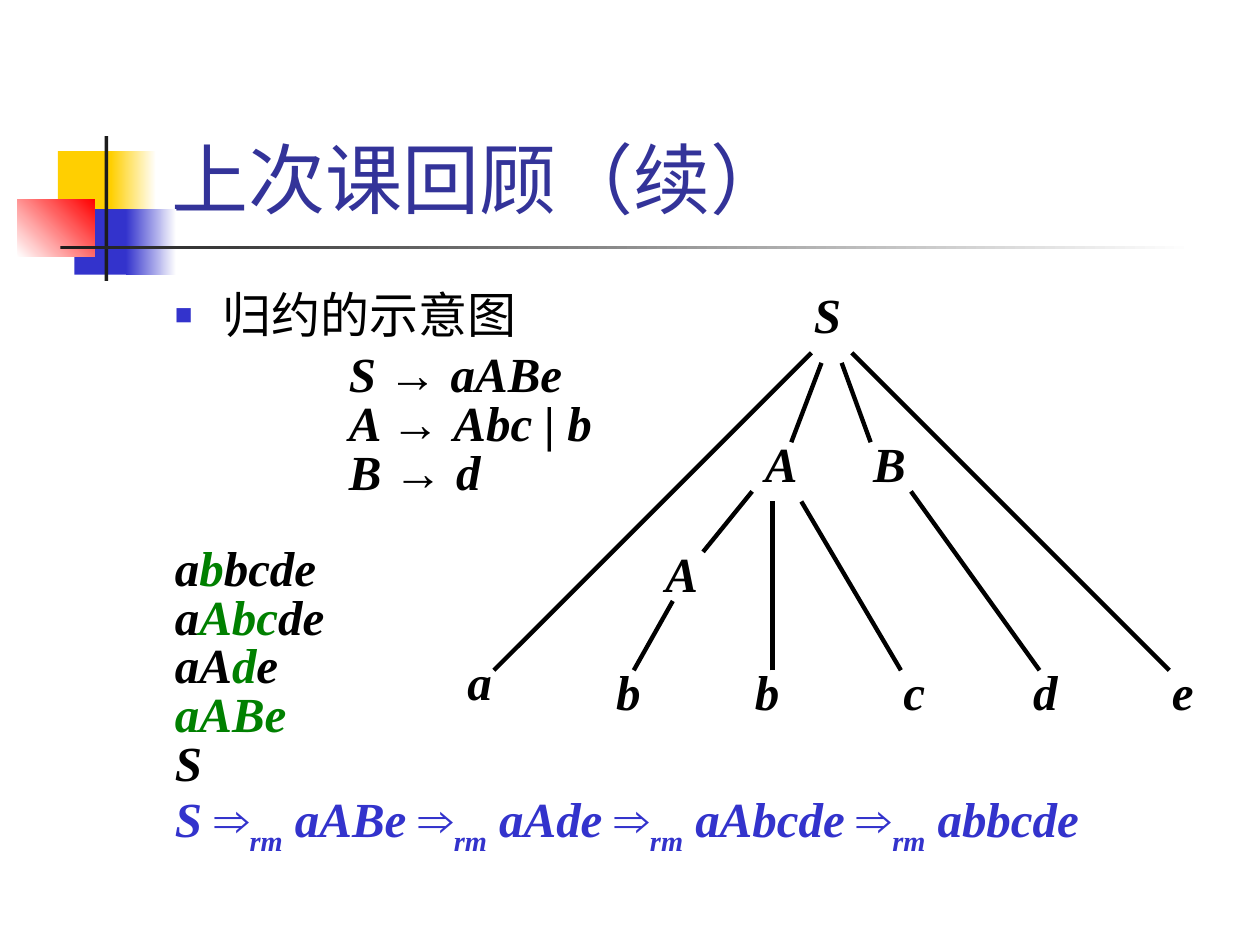
"""Build the slide that reviews bottom-up reduction with its parse tree."""
import pptx
import pptx.dml.color
import pptx.enum.shapes
import pptx.enum.text
import pptx.oxml
import pptx.oxml.ns
import pptx.util

Inches, Pt = pptx.util.Inches, pptx.util.Pt
RGBColor = pptx.dml.color.RGBColor
BLACK = RGBColor(0x00, 0x00, 0x00)
WHITE = RGBColor(0xFF, 0xFF, 0xFF)
GREEN = RGBColor(0x00, 0x80, 0x00)
BLUE = RGBColor(0x33, 0x33, 0xCC)
NAVY = RGBColor(0x33, 0x33, 0x99)
YELLOW = RGBColor(0xFF, 0xCF, 0x01)
RED = RGBColor(0xFF, 0x00, 0x00)
DARK = RGBColor(0x1C, 0x1C, 0x1C)
SERIF, SANS = "Times New Roman", "Arial"

TITLE = "上次课回顾（续）"
HEADING = "归约的示意图"
GRAMMAR = [("S", "aABe"), ("A", "Abc | b"), ("B", "d")]
REDUCTIONS = [("a", "b", "bcde"), ("a", "Abc", "de"), ("aA", "d", "e"), ("", "aABe", ""), ("S", "", "")]
DERIVATION = ["S ", " aABe ", " aAde ", " aAbcde ", " abbcde"]
DECORATION = [
    ((0.46, 1.2, 0.48, 0.52), (YELLOW,), 0),
    ((0.88, 1.2, 0.36, 0.52), (YELLOW, WHITE), 0),
    ((0.59, 1.66, 0.46, 0.52), (BLUE,), 0),
    ((1, 1.66, 0.4, 0.52), (BLUE, WHITE), 0),
    ((0.14, 1.58, 0.61, 0.46), (WHITE, RED), 45),
    ((0.83, 1.08, 0.03, 1.15), (DARK,), 0),
    ((0.48, 1.95, 9, 0.03), (DARK, WHITE), 0),
]
NODES = [
    ("S", 6.44, 2.25), ("A", 6.05, 3.43), ("B", 6.91, 3.43), ("A", 5.26, 4.3),
    ("a", 3.69, 5.16), ("b", 4.87, 5.24), ("b", 5.97, 5.24),
    ("c", 7.15, 5.24), ("d", 8.18, 5.24), ("e", 9.28, 5.24),
]
EDGES = [
    (3.92, 5.32, 6.44, 2.8), (9.28, 5.32, 6.76, 2.8), (5.03, 5.32, 5.34, 4.77),
    (5.58, 4.38, 5.97, 3.9), (6.13, 5.32, 6.13, 3.98), (6.36, 3.98, 7.15, 5.32),
    (7.23, 3.9, 8.25, 5.32), (6.28, 3.51, 6.52, 2.88), (6.68, 2.88, 6.91, 3.51),
]


def add_xml(parent, tag, **attrs):
    el = pptx.oxml.parse_xml(f"<a:{tag} {pptx.oxml.ns.nsdecls('a')}/>")
    for name, value in attrs.items():
        el.set(name, value)
    parent.append(el)
    return el


def set_font(font, size=28, name=SERIF, color=BLACK, strong=True):
    font.size, font.name = Pt(size), name
    font.bold = font.italic = strong
    font.color.rgb = color


def add_decoration(s, box, colors, angle):
    sp = s.shapes.add_shape(pptx.enum.shapes.MSO_SHAPE.RECTANGLE, *map(Inches, box))
    sp.shadow.inherit = False
    sp.line.fill.background()
    if len(colors) == 1:
        sp.fill.solid()
        sp.fill.fore_color.rgb = colors[0]
        return
    sp.fill.gradient()
    sp.fill.gradient_angle = angle
    for stop, color in zip(sp.fill.gradient_stops, colors):
        stop.color.rgb = color


def add_line(tf, color=BLACK, spacing=0.83):
    p = tf.add_paragraph()
    p.line_spacing = spacing
    set_font(p.font, color=color)
    return p


def add_run(p, text):
    r = p.add_run()
    r.text = text
    return r


def add_symbol(p, text):
    r = add_run(p, text)
    r.font.name, r.font.italic = SANS, False


def add_body(s):
    tf = s.shapes.add_textbox(*map(Inches, (1.29, 2.21, 8.5, 4.5))).text_frame
    tf.word_wrap = True
    p = tf.paragraphs[0]
    p.text = HEADING
    pPr = p._p.get_or_add_pPr()
    pPr.set("marL", str(Inches(0.38)))
    pPr.set("indent", str(-Inches(0.38)))
    add_xml(add_xml(pPr, "buClr"), "srgbClr", val=str(BLUE))
    add_xml(pPr, "buSzPct", val="60000")
    add_xml(pPr, "buFont", typeface=SANS)
    add_xml(pPr, "buChar", char="■")
    set_font(p.font, strong=False)

    for i, (left, right) in enumerate(GRAMMAR):
        p = add_line(tf, spacing=0.83 if i else 1.0)
        p._p.get_or_add_pPr().set("marL", str(Inches(1.38)))
        add_run(p, left + " ")
        add_symbol(p, "→ ")
        add_run(p, right)

    for i, (before, handle, after) in enumerate(REDUCTIONS):
        p = add_line(tf)
        if i == 0:
            p.space_before = Pt(27)
        for text, color in ((before, BLACK), (handle, GREEN), (after, BLACK)):
            if text:
                add_run(p, text).font.color.rgb = color

    p = add_line(tf, BLUE)
    add_run(p, DERIVATION[0])
    for form in DERIVATION[1:]:
        add_symbol(p, "⇒")
        add_run(p, "rm")._r.get_or_add_rPr().set("baseline", "-30000")
        add_run(p, form)


def add_node(s, text, x, y):
    tf = s.shapes.add_textbox(*map(Inches, (x, y, 0.45, 0.55))).text_frame
    tf.word_wrap = True
    tf.margin_left = tf.margin_right = Inches(0.02)
    tf.margin_top = tf.margin_bottom = Inches(0.01)
    p = tf.paragraphs[0]
    p.text = text
    set_font(p.font)


def add_edge(s, ends):
    line = s.shapes.add_connector(pptx.enum.shapes.MSO_CONNECTOR.STRAIGHT, *map(Inches, ends))
    line.line.color.rgb = BLACK
    line.line.width = Pt(2.5)
    add_xml(line._element.spPr, "effectLst")


def main():
    prs = pptx.Presentation()
    prs.slide_width, prs.slide_height = Inches(10), Inches(7.5)
    s = prs.slides.add_slide(prs.slide_layouts[5])
    for box, colors, angle in DECORATION:
        add_decoration(s, box, colors, angle)

    title = s.shapes.title
    title.left, title.top, title.width, title.height = map(Inches, (1.26, 0.23, 8.52, 1.6))
    tf = title.text_frame
    tf.text = TITLE
    tf.vertical_anchor = pptx.enum.text.MSO_ANCHOR.BOTTOM
    p = tf.paragraphs[0]
    p.alignment = pptx.enum.text.PP_ALIGN.LEFT
    set_font(p.font, 44, "Karla", NAVY, False)

    add_body(s)
    for node in NODES:
        add_node(s, *node)
    for ends in EDGES:
        add_edge(s, ends)
    prs.save("out.pptx")


if __name__ == "__main__":
    main()
